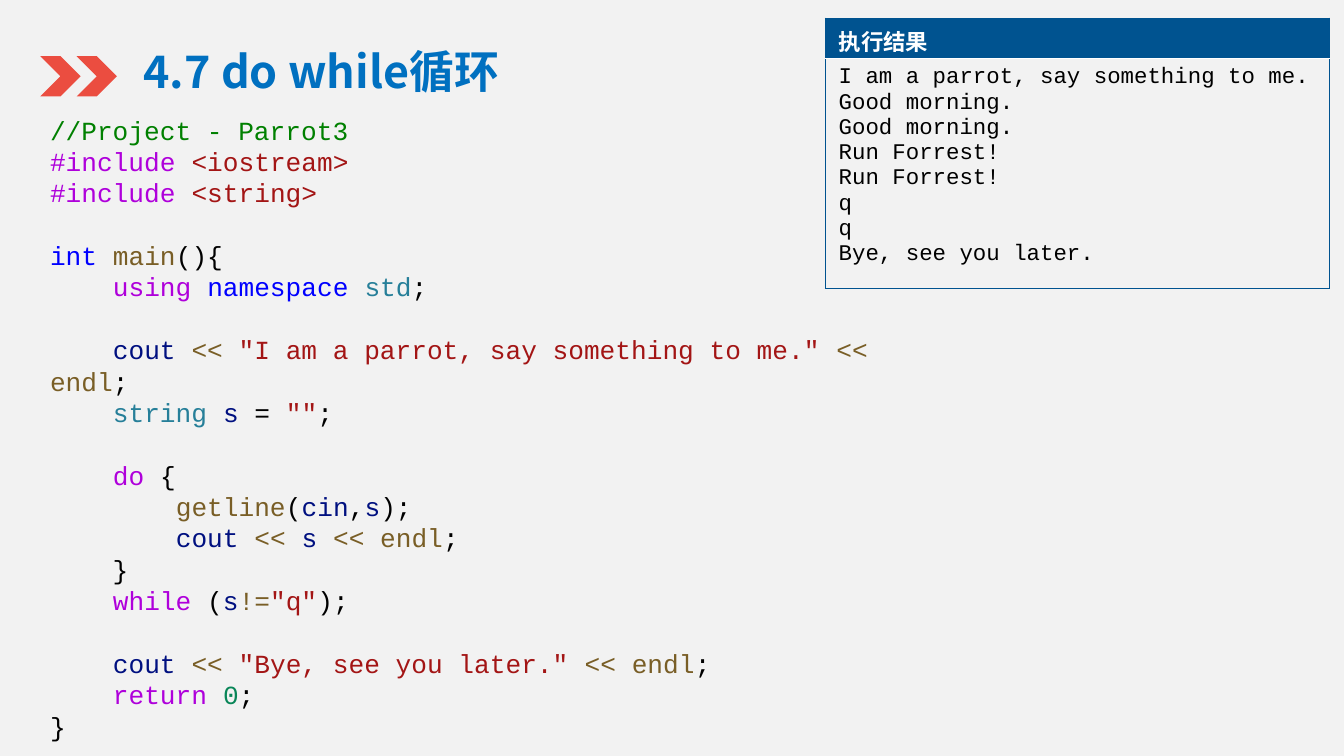
from lxml import etree
from pptx import Presentation
from pptx.dml.color import RGBColor
from pptx.enum.shapes import MSO_SHAPE
from pptx.enum.text import MSO_ANCHOR
from pptx.oxml.ns import qn
from pptx.util import Inches, Pt

CHEVRON = MSO_SHAPE.CHEVRON
MIDDLE = MSO_ANCHOR.MIDDLE
WIDE = Inches(10)
HIGH = WIDE * 9 // 16
SANS, MONO, HAN = "Arial", "Courier New", "Noto Sans CJK JP"
HEX = {
    "back": "F2F2F2", "title": "0070C0", "mark": "EB4D40",
    "head": "005390", "white": "FFFFFF", "black": "000000",
}
SYNTAX = {
    "c": "008000", "k": "AF00DB", "q": "A31515", "b": "0000FF",
    "f": "795E26", "t": "267F99", "v": "001080", "n": "098658",
    "x": "000000",
}
CODE = """c//Project - Parrot3
k#include |q<iostream>
k#include |q<string>

bint |fmain|x(){
x    |kusing |bnamespace |tstd|x;

x    |vcout |f<< |q"I am a parrot, say something to me." |f<< endl|x;
x    |tstring |vs|x = |q""|x;

x    |kdo|x {
x        |fgetline|x(|vcin|x,|vs|x);
x        |vcout |f<< |vs |f<< endl|x;
x    }
x    |kwhile|x (|vs|f!=|q"q"|x);

x    |vcout |f<< |q"Bye, see you later." |f<< endl|x;
x    |kreturn |n0|x;
x}"""
OUTPUT = """I am a parrot, say something to me.
Good morning.
Good morning.
Run Forrest!
Run Forrest!
q
q
Bye, see you later."""


class Deck:
    def __init__(self):
        self.show = Presentation()
        self.show.slide_width, self.show.slide_height = WIDE, HIGH
        self.page = self.show.slides.add_slide(self.show.slide_layouts[6])
        self.paint(self.page.background.fill, HEX["back"])

    def area(self, x, y, w, h):
        return [int(part * size / 100) for part, size in
                zip((x, y, w, h), (WIDE, HIGH, WIDE, HIGH))]

    def paint(self, fill, tone):
        fill.solid()
        fill.fore_color.rgb = RGBColor.from_string(tone)

    def style(self, run, face, size, tone, bold=False):
        font = run.font
        font.name, font.size, font.bold = face, Pt(size), bold
        font.color.rgb = RGBColor.from_string(tone)
        if face != MONO:
            east = etree.SubElement(font._element, qn("a:ea"))
            east.set("typeface", HAN)

    def box(self, area):
        frame = self.page.shapes.add_textbox(*self.area(*area)).text_frame
        frame.word_wrap = True
        return frame

    def title(self, area, text):
        frame = self.box(area)
        frame.vertical_anchor = MIDDLE
        frame.text = text
        self.style(frame.paragraphs[0].runs[0], HAN, 24, HEX["title"], True)

    def chevron(self, area):
        shape = self.page.shapes.add_shape(CHEVRON, *self.area(*area))
        shape.shadow.inherit = False
        self.paint(shape.fill, HEX["mark"])
        shape.line.fill.background()

    def code(self, area, text, size=14, pitch=16.8):
        frame = self.box(area)
        para, gap = frame.paragraphs[0], False
        for row, line in enumerate(text.split("\n")):
            if not line:
                gap = True
                continue
            if row:
                para = frame.add_paragraph()
            para.line_spacing = Pt(pitch)
            para.space_before = Pt(pitch if gap else 0)
            gap = False
            for token in line.split("|"):
                run = para.add_run()
                run.text = token[1:]
                self.style(run, MONO, size, SYNTAX[token[0]])

    def border(self, cell, sides):
        props = cell._tc.get_or_add_tcPr()
        for place, side in enumerate(sides):
            line = etree.Element(qn("a:ln" + side), w=str(int(Pt(0.5))),
                                 cap="flat", cmpd="sng", algn="ctr")
            fill = etree.SubElement(line, qn("a:solidFill"))
            etree.SubElement(fill, qn("a:srgbClr"), val=HEX["head"])
            etree.SubElement(line, qn("a:prstDash"), val="solid")
            props.insert(place, line)

    def result(self, area, head, body, split):
        left, top, wide, high = self.area(*area)
        table = self.page.shapes.add_table(2, 1, left, top, wide, high).table
        table.rows[0].height = int(high * split)
        table.rows[1].height = high - table.rows[0].height
        looks = ((head, SANS, HEX["white"], True, "LRT"),
                 (body, MONO, HEX["black"], False, "LRTB"))
        for row, (text, face, tone, bold, sides) in enumerate(looks):
            cell = table.cell(row, 0)
            cell.text = text
            for para in cell.text_frame.paragraphs:
                self.style(para.runs[0], face, 12, tone, bold)
            self.border(cell, sides)
        self.paint(table.cell(0, 0).fill, HEX["head"])
        table.cell(0, 0).margin_bottom = 0
        table.cell(1, 0).fill.background()


def main():
    deck = Deck()
    deck.title((9.7, 4.9, 54, 8.9), "4.7 do while循环")
    for step in range(2):
        deck.chevron((3 + 2.7 * step, 7.43, 3, 5.33))
    deck.code((2.74, 14.2, 66.7, 81.5), CODE)
    deck.result((61.4, 2.38, 37.5, 35.78), "执行结果", OUTPUT, 0.15)
    deck.show.save("out.pptx")


if __name__ == "__main__":
    main()
